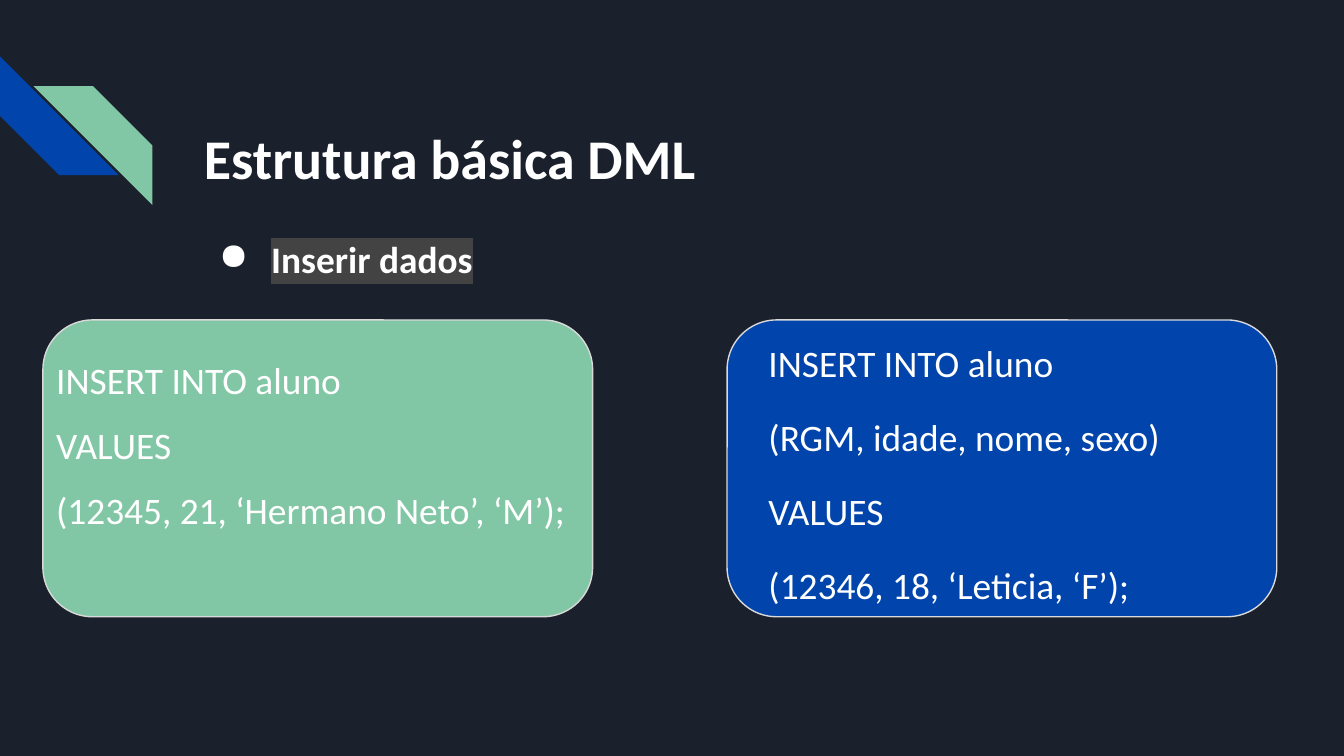
from lxml import etree
from pptx import Presentation
from pptx.dml.color import RGBColor
from pptx.enum import shapes, text
from pptx.oxml import ns
from pptx.util import Pt

BLUE, GREEN, WHITE = "0145AC", "82C7A5", "FFFFFF"


def rgb(code):
    return RGBColor.from_string(code)


def write(lines, x, y, w, h, size=20, bold=False, lead=1.0, gap=0,
          anchor=text.MSO_ANCHOR.TOP, bullet=None, mark=None):
    """Add a text box; gap is the space before each later line, mark a highlight."""
    box = slide.shapes.add_textbox(Pt(x), Pt(y), Pt(w), Pt(h))
    frame = box.text_frame
    frame.word_wrap = True
    frame.vertical_anchor = anchor
    frame.margin_left = frame.margin_right = Pt(7.2)
    frame.margin_top = frame.margin_bottom = Pt(7.2)
    for i, line in enumerate(lines):
        para = frame.add_paragraph() if i else frame.paragraphs[0]
        para.line_spacing = lead
        para.space_before = Pt(gap if i else 0)
        run = para.add_run()
        run.text = line
        font = run.font
        font.name, font.size, font.bold = "Calibri", Pt(size), bold
        font.color.rgb = rgb(WHITE)
        if bullet:
            props = para._p.get_or_add_pPr()
            props.set("marL", str(Pt(36)))
            props.set("indent", str(Pt(-28)))
            tint = etree.SubElement(props, ns.qn("a:buClr"))
            etree.SubElement(tint, ns.qn("a:srgbClr"), val=WHITE)
            etree.SubElement(props, ns.qn("a:buChar"), char=bullet)
        if mark:
            glow = etree.Element(ns.qn("a:highlight"))
            etree.SubElement(glow, ns.qn("a:srgbClr"), val=mark)
            run._r.rPr.find(ns.qn("a:solidFill")).addnext(glow)


deck = Presentation()
deck.slide_width, deck.slide_height = Pt(720), Pt(405)
slide = deck.slides.add_slide(deck.slide_layouts[6])
slide.background.fill.solid()
slide.background.fill.fore_color.rgb = rgb("1B212C")

# Corner stripes and code cards
stripe = shapes.MSO_SHAPE.DIAGONAL_STRIPE
card = shapes.MSO_SHAPE.ROUNDED_RECTANGLE
for kind, x, y, w, h, turn, adj, fill, edge in [
    (stripe, 0, 30.2, 63.6, 63.6, 270, 0.5, BLUE, None),
    (stripe, 18, 46.2, 63.6, 63.6, 90, 0.5, GREEN, None),
    (card, 389.5, 171.4, 294.5, 159, 0, 0.167, BLUE, "D9D9D9"),
    (card, 23, 171.4, 294.5, 159, 0, 0.167, GREEN, "D9D9D9"),
]:
    shape = slide.shapes.add_shape(kind, Pt(x), Pt(y), Pt(w), Pt(h))
    shape.shadow.inherit = False
    shape.rotation = turn
    shape.adjustments[0] = adj
    shape.fill.solid()
    shape.fill.fore_color.rgb = rgb(fill)
    if edge:
        shape.line.color.rgb = rgb(edge)
        shape.line.width = Pt(0.75)
    else:
        shape.line.fill.background()

write(["Estrutura básica DML"], 102.2, 56.9, 322.6, 54.7, size=30, bold=True,
      anchor=text.MSO_ANCHOR.MIDDLE)
write(["Inserir dados"], 102.2, 119.5, 236.2, 38.9, bold=True,
      bullet="●", mark="434343")
write(["INSERT INTO aluno", "VALUES", "(12345, 21, ‘Hermano Neto’, ‘M’);"],
      23, 185.8, 344.2, 130.3, lead=0.95, gap=12)
write(["INSERT INTO aluno", "(RGM, idade, nome, sexo)", "VALUES",
       "(12346, 18, ‘Leticia, ‘F’);"],
      404.6, 171.4, 275, 159, lead=1.15, gap=12)

deck.save("out.pptx")
